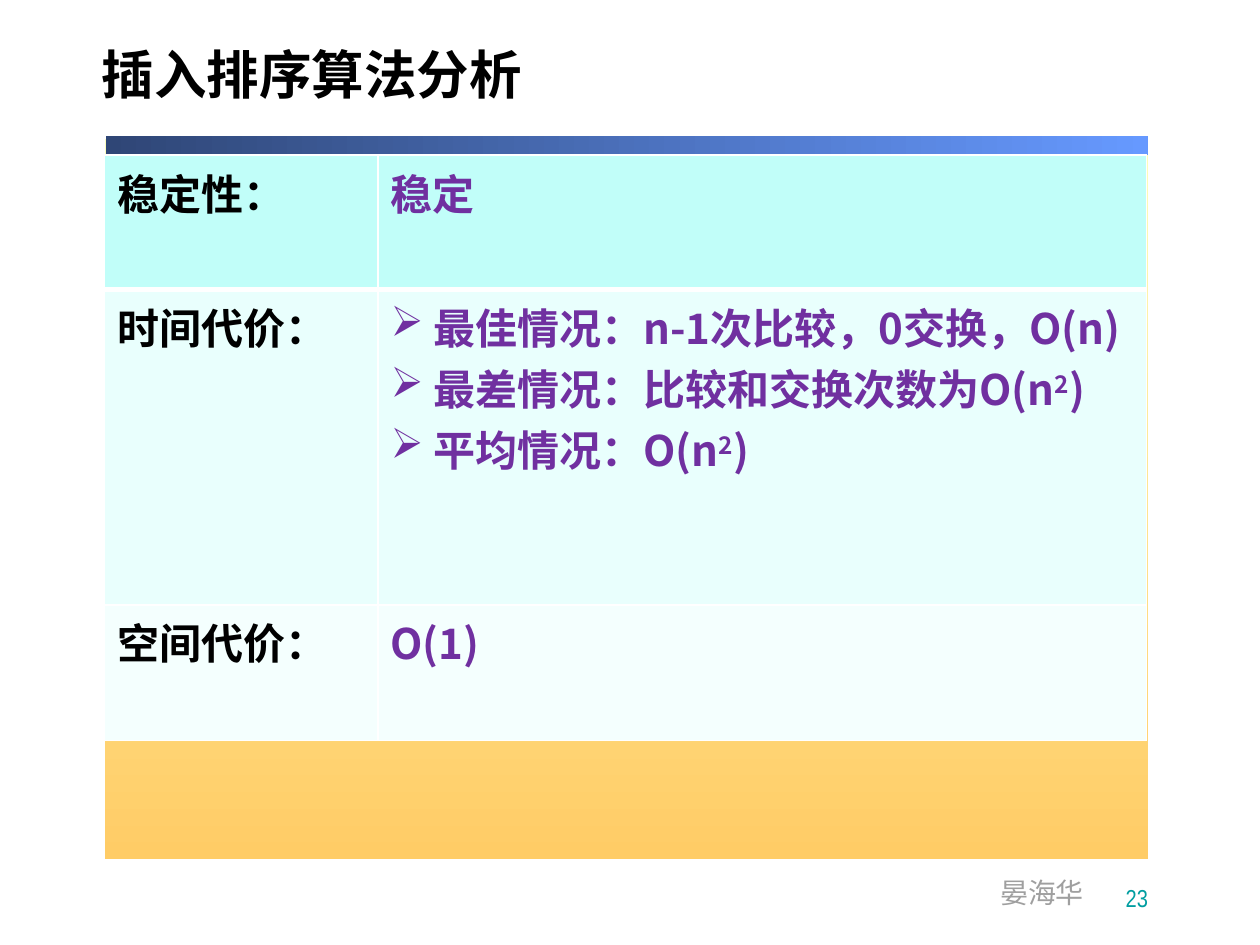
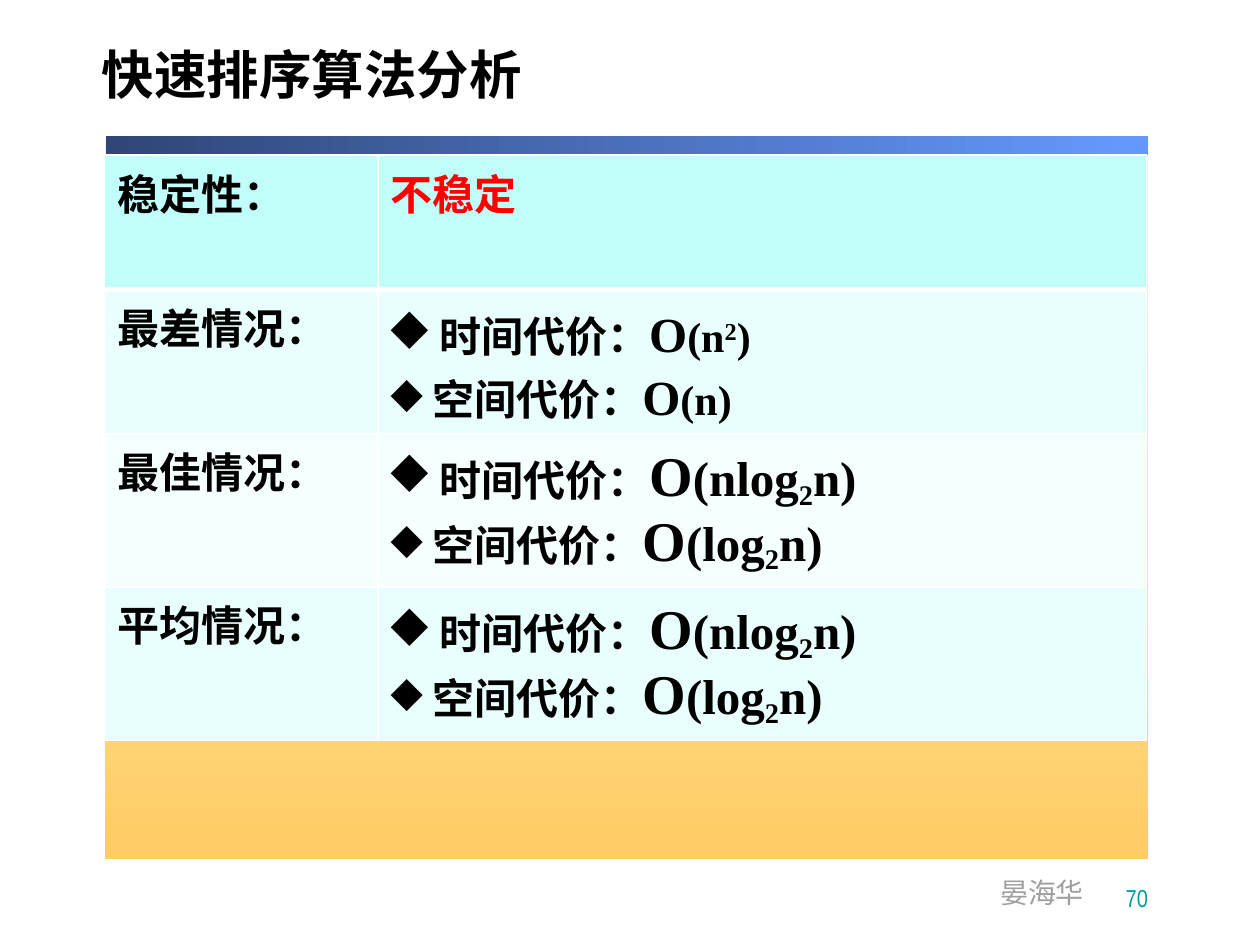
"""Build two slides that analyse insertion sort and quicksort."""
from collections import namedtuple

from lxml import etree
from pptx import Presentation
from pptx import util as u
from pptx.dml import color
from pptx.enum import shapes, text
from pptx.oxml import ns

NARROW, CJK, TIMES = "Arial Narrow", "Noto Sans CJK SC", "Times New Roman"
BLACK, PURPLE, RED, WHITE = "000000", "7030A0", "FF0000", "FFFFFF"
HEADER, BAND, LIGHT = "C1FEF9", "E9FFFD", "F4FFFE"
AUTHOR = "晏海华"

Run = namedtuple("Run", "words font size color base", defaults=(CJK, 24, BLACK, 0))
Line = namedtuple("Line", "runs bullet", defaults=("",))
Row = namedtuple("Row", "label lines height fill")


def rgb(value):
    return color.RGBColor.from_string(value)


def add_xml(parent, tag, **attributes):
    return etree.SubElement(parent, ns.qn(tag), attributes)


class Deck:
    """Hold the shared style and the current slide."""

    def __init__(self):
        self.prs = Presentation()
        self.prs.slide_width, self.prs.slide_height = u.Pt(720), u.Pt(540)
        self.slide = None

    def new_slide(self, title, number):
        self.slide = self.prs.slides.add_slide(self.prs.slide_layouts[6])
        self.gradient((59.8, 79.2, 596.2, 411.8), "FCFEBC", "FFCC66", 270)
        self.gradient((60.5, 77.8, 595.4, 10.8), "2F4676", "6699FF", 0)
        self.label((564.5, 496.8, 62.6, 26.6), Run(AUTHOR, NARROW, 16, "9F9F9F"), wrap=False)
        heading = self.label((51.1, 12.2, 645.1, 66.2), Run(title, NARROW, 30),
                             anchor=text.MSO_ANCHOR.MIDDLE, bold=True)
        heading.line_spacing = 0.8
        page = self.label((529.9, 490.3, 133.2, 34.6), Run(number, NARROW, 14, "009EA1"),
                          anchor=text.MSO_ANCHOR.BOTTOM)
        page.alignment = text.PP_ALIGN.RIGHT

    def gradient(self, box, start, end, angle):
        band = self.slide.shapes.add_shape(shapes.MSO_SHAPE.RECTANGLE, *map(u.Pt, box))
        band.shadow.inherit = False
        band.line.fill.background()
        band.fill.gradient()
        band.fill.gradient_angle = angle
        for stop, value in zip(band.fill.gradient_stops, (start, end)):
            stop.color.rgb = rgb(value)

    def label(self, box, run, anchor=text.MSO_ANCHOR.TOP, bold=False, wrap=True):
        frame = self.slide.shapes.add_textbox(*map(u.Pt, box)).text_frame
        frame.word_wrap = wrap
        frame.vertical_anchor = anchor
        self.set_line(frame.paragraphs[0], Line([run]), bold)
        return frame.paragraphs[0]

    def set_line(self, paragraph, line, bold=True):
        if line.bullet:
            properties = paragraph._p.get_or_add_pPr()
            properties.set("marL", "0")
            properties.set("indent", "0")
            add_xml(properties, "a:buChar", char=line.bullet)
        for item in line.runs:
            run = paragraph.add_run()
            run.text = item.words
            run.font.name, run.font.size = item.font, u.Pt(item.size)
            run.font.bold = bold
            run.font.color.rgb = rgb(item.color)
            properties = run._r.get_or_add_rPr()
            add_xml(properties, "a:ea", typeface=CJK)
            if item.base:
                properties.set("baseline", str(item.base * 1000))

    def borders(self, cell, top, bottom):
        properties = cell._tc.get_or_add_tcPr()
        for side, width in zip("LRTB", (1, 1, top, bottom)):
            edge = add_xml(properties, f"a:ln{side}", w=str(u.Pt(width)))
            add_xml(add_xml(edge, "a:solidFill"), "a:srgbClr", val=WHITE)

    def analysis(self, rows):
        widths = (156.2, 439.2)
        height = sum(row.height for row in rows)
        table = self.slide.shapes.add_table(
            len(rows), 2, *map(u.Pt, (59.8, 88.6, sum(widths), height))).table
        for column, width in zip(table.columns, widths):
            column.width = u.Pt(width)
        for index, row in enumerate(rows):
            table.rows[index].height = u.Pt(row.height)
            topic = [Line([Run(row.label, NARROW)])]
            for cell, lines in zip(table.rows[index].cells, (topic, row.lines)):
                self.borders(cell, 3 if index == 1 else 1, 3 if index == 0 else 1)
                cell.fill.solid()
                cell.fill.fore_color.rgb = rgb(row.fill)
                frame = cell.text_frame
                for position, line in enumerate(lines):
                    self.set_line(frame.add_paragraph() if position else frame.paragraphs[0], line)


def purple(words, base=0):
    return Run(words, color=PURPLE, base=base)


def case(words, squared=True):
    tail = [purple("2", 30), purple(")")] if squared else []
    return Line([purple(words), *tail], "➢")


def cost(lead, size, *pieces):
    order = [Run("O", TIMES, size)]
    order += [Run(words, TIMES, size - 4, BLACK, base) for words, base in pieces]
    return Line([*lead, *order], "◆")


def main():
    deck = Deck()

    deck.new_slide("插入排序算法分析", "23")
    deck.analysis([
        Row("稳定性：", [Line([purple("稳定")])], 77, HEADER),
        Row("时间代价：", [
            case(" 最佳情况：n-1次比较，0交换，O(n)", squared=False),
            case(" 最差情况：比较和交换次数为O(n"),
            case(" 平均情况：O(n"),
        ], 180, BAND),
        Row("空间代价：", [Line([purple("O(1)")])], 77.5, LIGHT),
    ])

    time = [Run(" ", TIMES, 28), Run("时间代价：")]
    space = [Run(" 空间代价：")]
    logarithmic = [cost(time, 32, ("(nlog", 0), ("2", -18), ("n)", 0)),
                   cost(space, 32, ("(log", 0), ("2", -18), ("n)", 0))]
    quadratic = [cost(time, 28, ("(n", 0), ("2", 30), (")", 0)),
                 cost(space, 28, ("(n)", 0))]

    deck.new_slide("快速排序算法分析", "70")
    deck.analysis([
        Row("稳定性：", [Line([Run("不稳定", color=RED)])], 77, HEADER),
        Row("最差情况：", quadratic, 82, BAND),
        Row("最佳情况：", logarithmic, 85.5, LIGHT),
        Row("平均情况：", logarithmic, 85.5, BAND),
    ])

    deck.prs.save("out.pptx")


if __name__ == "__main__":
    main()
